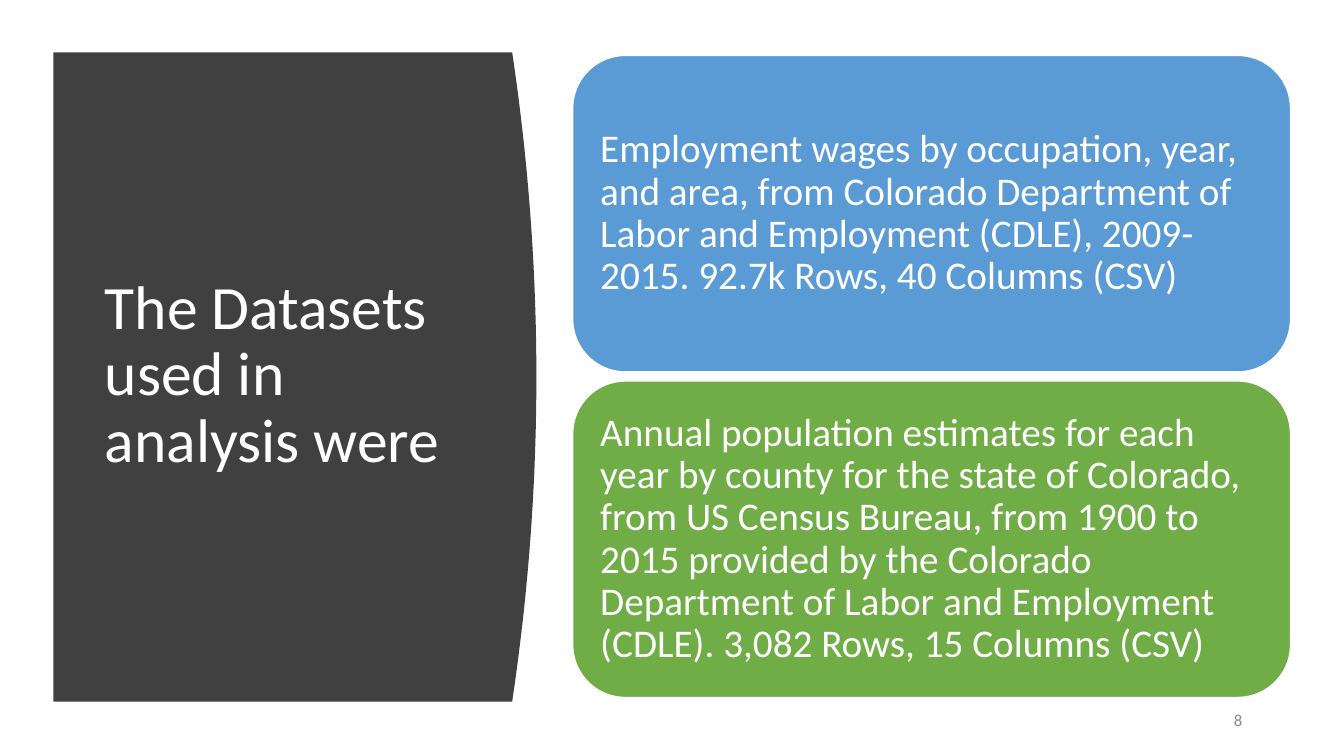
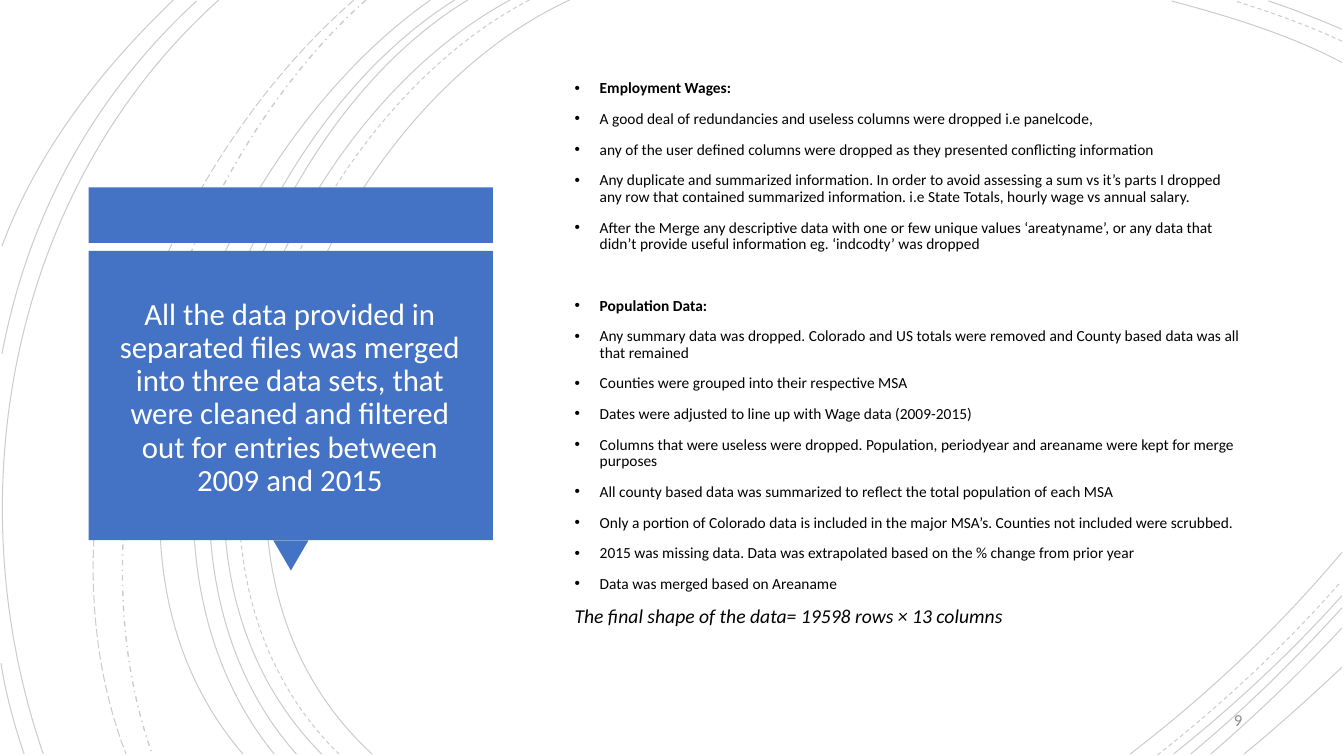
from dataclasses import dataclass
from lxml.etree import SubElement
from pptx import Presentation
from pptx.dml.color import RGBColor as Rgb
from pptx.enum.dml import MSO_LINE as Dash
from pptx.enum.shapes import MSO_SHAPE as Preset
from pptx.enum.text import MSO_ANCHOR as Anchor, PP_ALIGN as Align
from pptx.oxml.ns import qn
from pptx.util import Inches, Pt


@dataclass(frozen=True)
class Theme:
    font: str = "Calibri"
    white: str = "FFFFFF"
    black: str = "000000"
    panel: str = "404040"
    callout: str = "4472C4"
    cards: tuple = ("5B9BD5", "70AD47")
    number: str = "8C8C8C"
    panel_size: float = 44
    card_size: float = 28
    callout_size: float = 22
    closing_size: float = 14
    number_size: float = 12
    note_size: float = 11
    line_spacing: float = 0.9
    note_gap: float = 10
    section_gap: float = 32
    arc_alpha: int = 20


@dataclass(frozen=True)
class Box:
    left: float
    top: float
    width: float
    height: float

    def emu(self):
        return [Inches(v) for v in (self.left, self.top, self.width, self.height)]

    def inner(self, left, top, width, height):
        return Box(self.left + left, self.top + top, width, height)


THEME = Theme()
SLIDE = Box(0, 0, 13.33, 7.5)
NUMBER = Box(9.42, 6.95, 3, 0.4)

DATASETS = (
    "Employment wages by occupation, year, and area, from Colorado Department of "
    "Labor and Employment (CDLE), 2009-2015. 92.7k Rows, 40 Columns (CSV)",
    "Annual population estimates for each year by county for the state of Colorado, "
    "from US Census Bureau, from 1900 to 2015 provided by the Colorado Department of "
    "Labor and Employment (CDLE). 3,082 Rows, 15 Columns (CSV)",
)
MERGE_TITLE = (
    "All the data provided in separated ﬁles was merged into three data sets, that "
    "were cleaned and ﬁltered out for entries between 2009 and 2015"
)
CLEANING = {
    "Employment Wages:": (
        "A good deal of redundancies and useless columns were dropped i.e panelcode,",
        "any of the user defined columns were dropped as they presented conflicting information",
        "Any duplicate and summarized information. In order to avoid assessing a sum vs it’s "
        "parts I dropped any row that contained summarized information. i.e State Totals, "
        "hourly wage vs annual salary.",
        "After the Merge any descriptive data with one or few unique values ‘areatyname’, or "
        "any data that didn’t provide useful information eg. ‘indcodty’ was dropped",
    ),
    "Population Data:": (
        "Any summary data was dropped. Colorado and US totals were removed and County based "
        "data was all that remained",
        "Counties were grouped into their respective MSA",
        "Dates were adjusted to line up with Wage data (2009-2015)",
        "Columns that were useless were dropped. Population, periodyear and areaname were "
        "kept for merge purposes",
        "All county based data was summarized to reflect the total population of each MSA",
        "Only a portion of Colorado data is included in the major MSA’s. Counties not "
        "included were scrubbed.",
        "2015 was missing data. Data was extrapolated based on the % change from prior year",
        "Data was merged based on Areaname",
    ),
}
FINAL_SHAPE = "The final shape of the data= 19598 rows × 13 columns"

ARCS = {
    (Dash.SOLID, 0.75): (
        ((5.65, 0), (3.15, 1.15), (1.43, 5.4), (3.69, 7.48)),
        ((13.31, 0.62), (12.78, 0.34), (12.18, 0.16), (11.62, 0.01)),
        ((11.21, 7.48), (11.97, 6.9), (12.69, 6.22), (13.31, 5.48)),
        ((5.06, 0), (2.7, 1.27), (1.1, 5.37), (3.19, 7.48)),
        ((13.31, 0.29), (13.07, 0.19), (12.83, 0.09), (12.58, 0.01)),
        ((11.64, 7.48), (12.23, 7.01), (12.8, 6.48), (13.31, 5.91)),
        ((4.64, 0), (2.44, 1.33), (1.1, 5.41), (2.94, 7.48)),
        ((11.81, 7.48), (12.34, 7.04), (12.84, 6.55), (13.31, 6.03)),
        ((4.51, 0), (2.31, 1.38), (0.97, 5.33), (2.72, 7.48)),
        ((12.01, 7.48), (12.46, 7.09), (12.9, 6.67), (13.31, 6.23)),
        ((4.27, 0), (2.17, 1.47), (0.53, 5.29), (2.41, 7.48)),
        ((12.34, 7.48), (12.67, 7.21), (12.99, 6.92), (13.31, 6.62)),
        ((2.17, 0), (0.11, 1.85), (-0.46, 4.9), (0.43, 7.48)),
        ((1.95, 0.01), (0.92, 0.96), (0.28, 2.14), (0.02, 3.51)),
        ((0.01, 6.58), (0.06, 6.89), (0.14, 7.19), (0.24, 7.48)),
        ((1.72, 0), (1, 0.69), (0.37, 1.5), (0.02, 2.44)),
    ),
    (Dash.DASH, 0.75): (
        ((5.25, 0), (2.85, 1.25), (1.23, 5.37), (3.36, 7.48)),
        ((13.31, 0.41), (12.97, 0.25), (12.6, 0.12), (12.25, 0.01)),
        ((11.48, 7.49), (12.13, 6.98), (12.75, 6.4), (13.3, 5.77)),
    ),
    (Dash.DASH_DOT, 1): (((3.63, 0), (1.76, 1.66), (0.65, 5.09), (1.51, 7.48)),),
    (Dash.LONG_DASH, 0.75): (((3.51, 0), (1.57, 1.69), (0.29, 4.99), (1.25, 7.48)),),
}


def outline(slide, points, close):
    corners = [(Inches(x), Inches(y)) for x, y in points]
    builder = slide.shapes.build_freeform(*corners[0], scale=1.0)
    builder.add_line_segments(corners[1:], close=close)
    shape = builder.convert_to_shape()
    shape.shadow.inherit = False
    return shape


def bend(shape):
    segments = list(shape.element.iter(qn("a:lnTo")))
    cubic = SubElement(segments[0].getparent(), qn("a:cubicBezTo"))
    for segment in segments:
        cubic.append(segment[0])
        segment.getparent().remove(segment)


def paint(shape, color, border=None):
    shape.shadow.inherit = False
    shape.fill.solid()
    shape.fill.fore_color.rgb = Rgb.from_string(color)
    if border:
        shape.line.color.rgb = Rgb.from_string(border)
        shape.line.width = Pt(1)
    else:
        shape.line.fill.background()
    return shape


def block(slide, preset, box, color, border=None):
    return paint(slide.shapes.add_shape(preset, *box.emu()), color, border)


def style(paragraph, size, color, align=Align.LEFT, bold=False, italic=False):
    paragraph.alignment = align
    paragraph.line_spacing = THEME.line_spacing
    font = paragraph.font
    font.name, font.size = THEME.font, Pt(size)
    font.bold, font.italic = bold, italic
    font.color.rgb = Rgb.from_string(color)


def frame_of(shape, insets, anchor=Anchor.MIDDLE):
    frame = shape.text_frame
    frame.word_wrap = True
    frame.vertical_anchor = anchor
    (frame.margin_left, frame.margin_top,
     frame.margin_right, frame.margin_bottom) = [Inches(v) for v in insets]
    return frame


def write(shape, text, size, color, align=Align.LEFT, insets=(0.1, 0.05, 0.1, 0.05)):
    paragraph = frame_of(shape, insets).paragraphs[0]
    paragraph.text = text
    style(paragraph, size, color, align)


def label(slide, box, *text_style):
    write(slide.shapes.add_textbox(*box.emu()), *text_style)


def page_number(slide, box, number):
    label(slide, box, str(number), THEME.number_size, THEME.number, Align.RIGHT)


def title_panel(slide, box, title, bulge=0.24, steps=40):
    edge = box.left + box.width - bulge
    points = [(box.left, box.top)]
    for step in range(steps + 1):
        t = step / steps
        points.append((edge + 4 * bulge * t * (1 - t), box.top + box.height * t))
    points.append((box.left, box.top + box.height))
    paint(outline(slide, points, True), THEME.panel)
    label(slide, box.inner(0.41, 0.59, 3.74, 5.24), title, THEME.panel_size, THEME.white)


def dataset_cards(slide, box, datasets, gap=0.09):
    height = (box.height - gap * (len(datasets) - 1)) / len(datasets)
    for row, (dataset, color) in enumerate(zip(datasets, THEME.cards)):
        place = box.inner(0, row * (height + gap), box.width, height)
        card = block(slide, Preset.ROUNDED_RECTANGLE, place, color, THEME.white)
        write(card, dataset, THEME.card_size, THEME.white, insets=(0.12,) * 4)


def background_arcs(slide, box):
    for (dash, width), arcs in ARCS.items():
        for arc in arcs:
            curve = outline(slide, [(box.left + x, box.top + y) for x, y in arc], False)
            bend(curve)
            curve.fill.background()
            curve.line.width = Pt(width)
            curve.line.color.rgb = Rgb.from_string(THEME.black)
            curve.line.dash_style = dash
            ink = curve.element.spPr.find(qn("a:ln")).find(".//" + qn("a:srgbClr"))
            SubElement(ink, qn("a:alpha")).set("val", str(THEME.arc_alpha * 1000))


def title_callout(slide, box, title):
    band, gap, pointer_width, pointer_height = 0.55, 0.08, 0.35, 0.3
    body_top = band + gap
    body_height = box.height - body_top - pointer_height
    pointer_left = (box.width - pointer_width) / 2
    block(slide, Preset.RECTANGLE, box.inner(0, 0, box.width, band), THEME.callout)
    pointer = block(
        slide, Preset.ISOSCELES_TRIANGLE,
        box.inner(pointer_left, body_top + body_height, pointer_width, pointer_height),
        THEME.callout)
    pointer.rotation = 180
    block(slide, Preset.RECTANGLE, box.inner(0, body_top, box.width, body_height),
          THEME.callout)
    label(slide, box.inner(0.11, 0.78, 3.77, 2.62), title,
          THEME.callout_size, THEME.white, Align.CENTER)


def add_bullet(paragraph):
    properties = paragraph._p.get_or_add_pPr()
    properties.set("marL", str(Inches(0.25)))
    properties.set("indent", str(-Inches(0.25)))
    SubElement(properties, qn("a:buFont")).set("typeface", "Arial")
    SubElement(properties, qn("a:buChar")).set("char", "•")


def cleaning_notes(slide, box, sections, closing):
    frame = frame_of(slide.shapes.add_textbox(*box.emu()), (0.1, 0.05, 0.1, 0.05), Anchor.TOP)
    paragraph = frame.paragraphs[0]
    for index, (heading, notes) in enumerate(sections.items()):
        for note in (heading, *notes):
            is_heading = note == heading
            if index or not is_heading:
                paragraph = frame.add_paragraph()
                gap = THEME.section_gap if is_heading else THEME.note_gap
                paragraph.space_before = Pt(gap)
            paragraph.text = note
            add_bullet(paragraph)
            style(paragraph, THEME.note_size, THEME.black, bold=is_heading)
    summary = frame.add_paragraph()
    summary.text = closing
    summary.space_before = Pt(THEME.note_gap)
    style(summary, THEME.closing_size, THEME.black, italic=True)


def datasets_slide(slide):
    title_panel(slide, Box(0.53, 0.52, 4.79, 6.44), "The Datasets used in analysis were")
    dataset_cards(slide, Box(5.68, 0.55, 7.12, 6.37), DATASETS)


def cleaning_slide(slide):
    background_arcs(slide, SLIDE)
    title_callout(slide, Box(0.88, 1.86, 4.01, 3.8), MERGE_TITLE)
    cleaning_notes(slide, Box(5.6, 0.75, 6.87, 5.74), CLEANING, FINAL_SHAPE)


def main():
    deck = Presentation()
    deck.slide_width, deck.slide_height = Inches(SLIDE.width), Inches(SLIDE.height)
    for number, build in enumerate((datasets_slide, cleaning_slide), start=8):
        slide = deck.slides.add_slide(deck.slide_layouts[6])
        build(slide)
        page_number(slide, NUMBER, number)
    deck.save("out.pptx")


if __name__ == "__main__":
    main()
